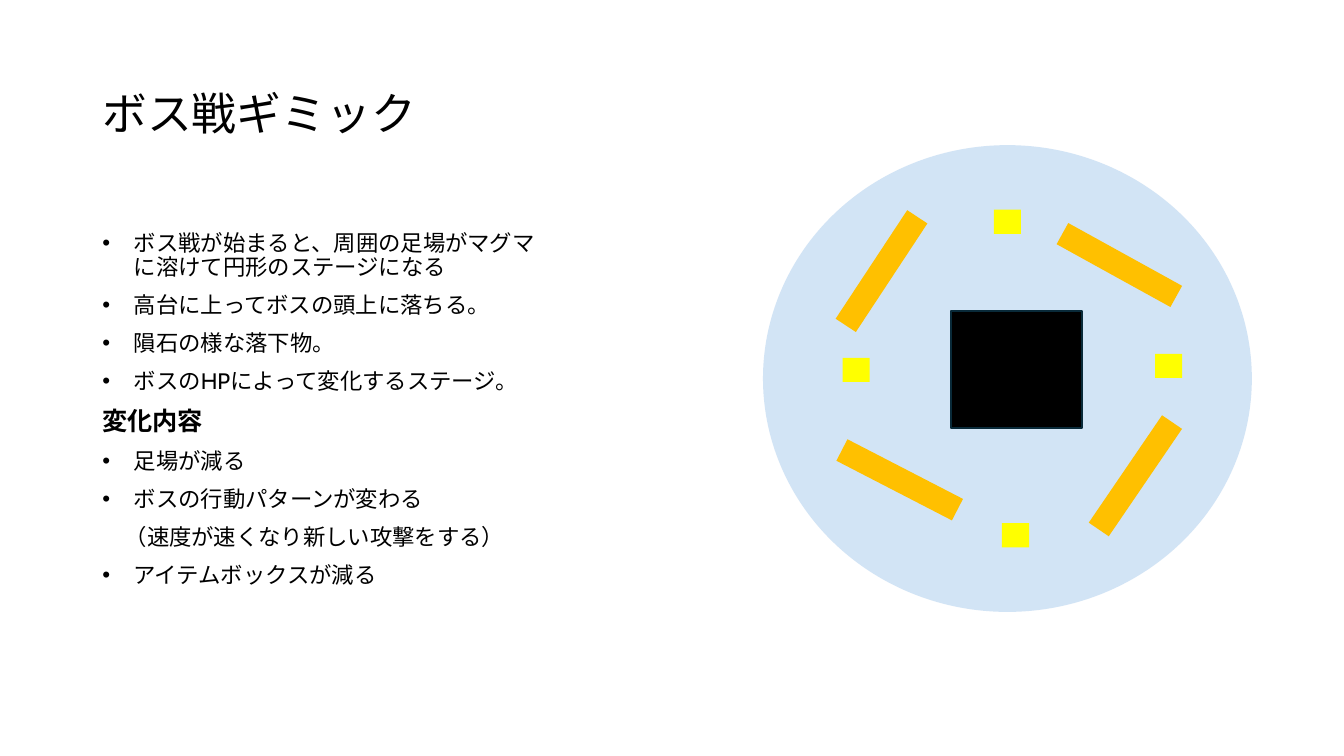
from dataclasses import dataclass

from lxml.etree import SubElement
from pptx import Presentation
from pptx.dml.color import RGBColor
from pptx.enum.lang import MSO_LANGUAGE_ID as Lang
from pptx.enum.shapes import MSO_SHAPE as Shape
from pptx.enum.text import MSO_ANCHOR as Anchor
from pptx.oxml.ns import qn
from pptx.util import Pt


@dataclass(frozen=True)
class Theme:
    font: str = "Cabin"
    ink: str = "000000"
    disc: str = "A6CAEC"
    boss: str = "000000"
    edge: str = "092A39"
    item: str = "FFFF00"
    ledge: str = "FFC000"
    title: int = 32
    head: int = 18
    body: int = 16


THEME = Theme()
INDENT = 22.5

# Text, then its format
NOTES = [
    ("ボス戦が始まると、周囲の足場がマグマに溶けて円形のステージになる", {"bullet": True}),
    ("高台に上ってボスの頭上に落ちる。", {"bullet": True}),
    ("隕石の様な落下物。", {"bullet": True}),
    ("ボスのHPによって変化するステージ。", {"bullet": True}),
    ("変化内容", {"size": THEME.head, "bold": True}),
    ("足場が減る", {"bullet": True}),
    ("ボスの行動パターンが変わる", {"bullet": True}),
    ("（速度が速くなり新しい攻撃をする）", {"indent": THEME.body}),
    ("アイテムボックスが減る", {"bullet": True}),
]

# Left, top
ITEMS = [(709.9, 149.8), (601.9, 255.6), (715.7, 373.7), (825.1, 252.7)]
ITEM_SIZE = (19.4, 17.3)

# Left, top, turn in degrees
LEDGES = [
    (764.6, 331.2, 304.3),
    (596.2, 334.1, 27.3),
    (583.2, 185, 123.4),
    (753.1, 180.7, 28.9),
]
LEDGE_SIZE = (92.9, 17.3)


def add_box(slide, left, top, width, height, anchor=Anchor.TOP):
    box = slide.shapes.add_textbox(Pt(left), Pt(top), Pt(width), Pt(height))
    frame = box.text_frame
    frame.word_wrap = True
    frame.vertical_anchor = anchor
    return frame


def add_text(frame, text, size=THEME.body, bold=False, bullet=False, indent=0):
    first = not frame.paragraphs[0].runs
    para = frame.paragraphs[0] if first else frame.add_paragraph()
    para.line_spacing = 0.9
    para.space_before = Pt(0 if first else 10)
    props = para._p.get_or_add_pPr()
    props.set("marL", str(Pt(INDENT if bullet else indent)))
    props.set("indent", str(Pt(-INDENT if bullet else 0)))
    if bullet:
        SubElement(props, qn("a:buFont")).set("typeface", "Arial")
        SubElement(props, qn("a:buChar")).set("char", "•")
    run = para.add_run()
    run.text = text
    font = run.font
    font.name, font.size, font.bold = THEME.font, Pt(size), bold
    font.color.rgb = RGBColor.from_string(THEME.ink)
    font.language_id = Lang.JAPANESE


def add_form(slide, kind, left, top, width, height, fill, edge=None, alpha=None, turn=0):
    form = slide.shapes.add_shape(kind, Pt(left), Pt(top), Pt(width), Pt(height))
    form.shadow.inherit = False
    form.rotation = turn
    form.fill.solid()
    form.fill.fore_color.rgb = RGBColor.from_string(fill)
    if alpha is not None:
        color = form._element.spPr.find(qn("a:solidFill"))[0]
        SubElement(color, qn("a:alpha")).set("val", str(alpha * 1000))
    if edge:
        form.line.color.rgb = RGBColor.from_string(edge)
        form.line.width = Pt(1.5)
    else:
        form.line.fill.background()


def main():
    deck = Presentation()
    deck.slide_width, deck.slide_height = Pt(960), Pt(540)
    slide = deck.slides.add_slide(deck.slide_layouts[6])

    # Title and notes
    title = add_box(slide, 66, 36, 255, 68, anchor=Anchor.BOTTOM)
    add_text(title, "ボス戦ギミック", size=THEME.title)
    notes = add_box(slide, 66, 162, 337, 300)
    for text, style in NOTES:
        add_text(notes, text, **style)

    # Round stage with the boss in the middle
    add_form(slide, Shape.FLOWCHART_CONNECTOR, 545, 103.7, 349.2, 333.4, THEME.disc, alpha=50)
    add_form(slide, Shape.RECTANGLE, 679, 222.5, 93.6, 83.5, THEME.boss, edge=THEME.edge)

    # Item boxes and ledges around the boss
    for left, top in ITEMS:
        add_form(slide, Shape.RECTANGLE, left, top, *ITEM_SIZE, THEME.item)
    for left, top, turn in LEDGES:
        add_form(slide, Shape.RECTANGLE, left, top, *LEDGE_SIZE, THEME.ledge, turn=turn)

    deck.save("out.pptx")


if __name__ == "__main__":
    main()
